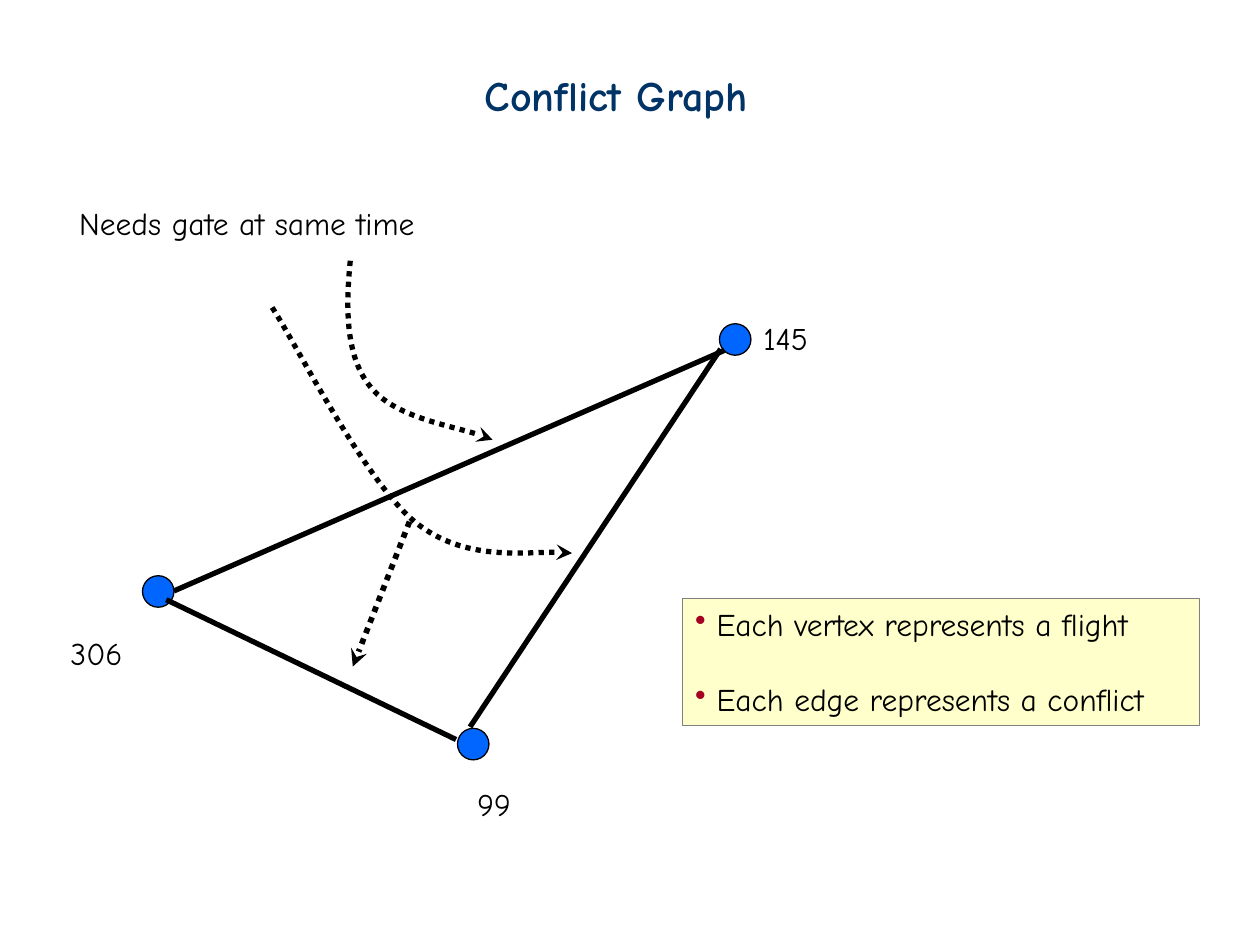
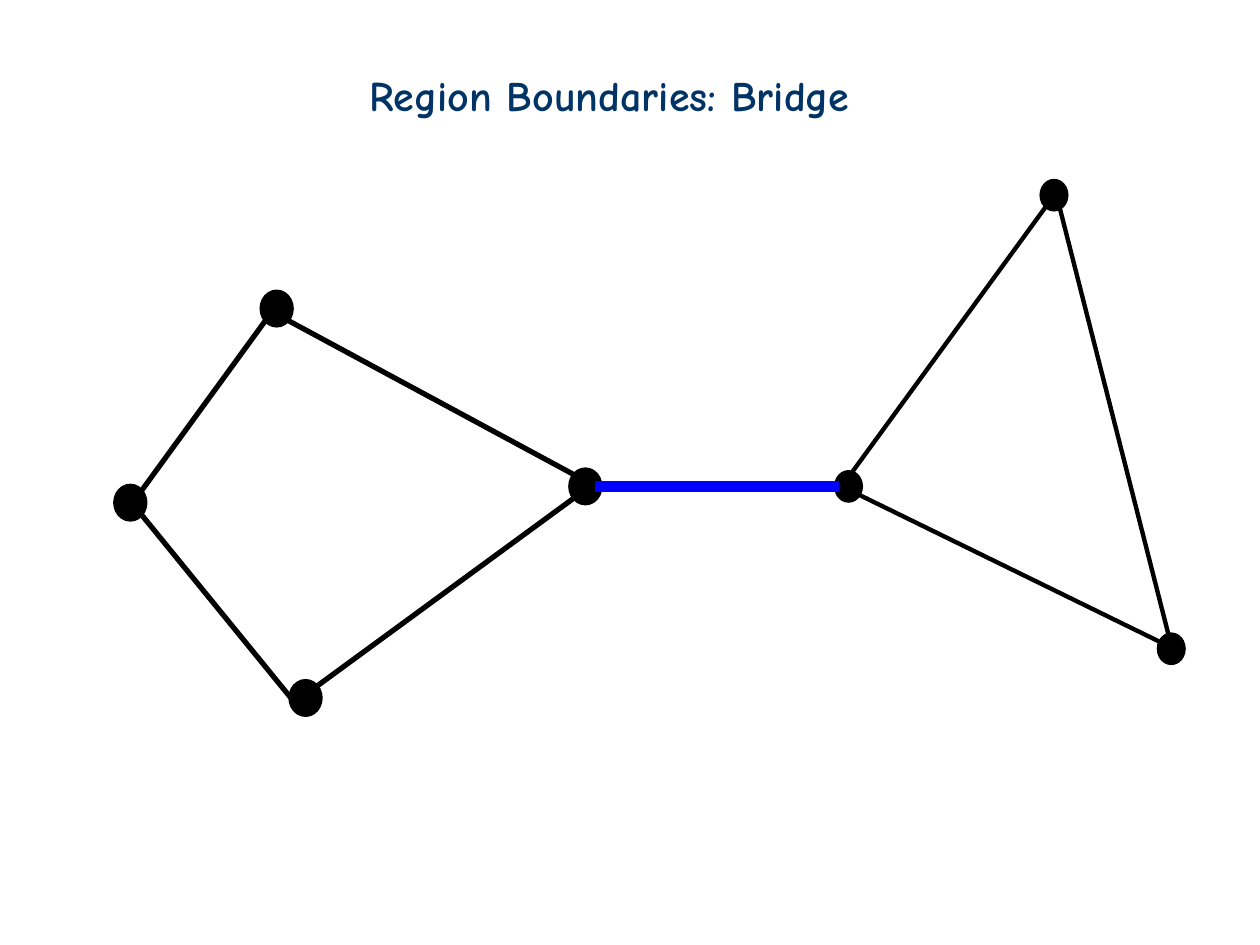
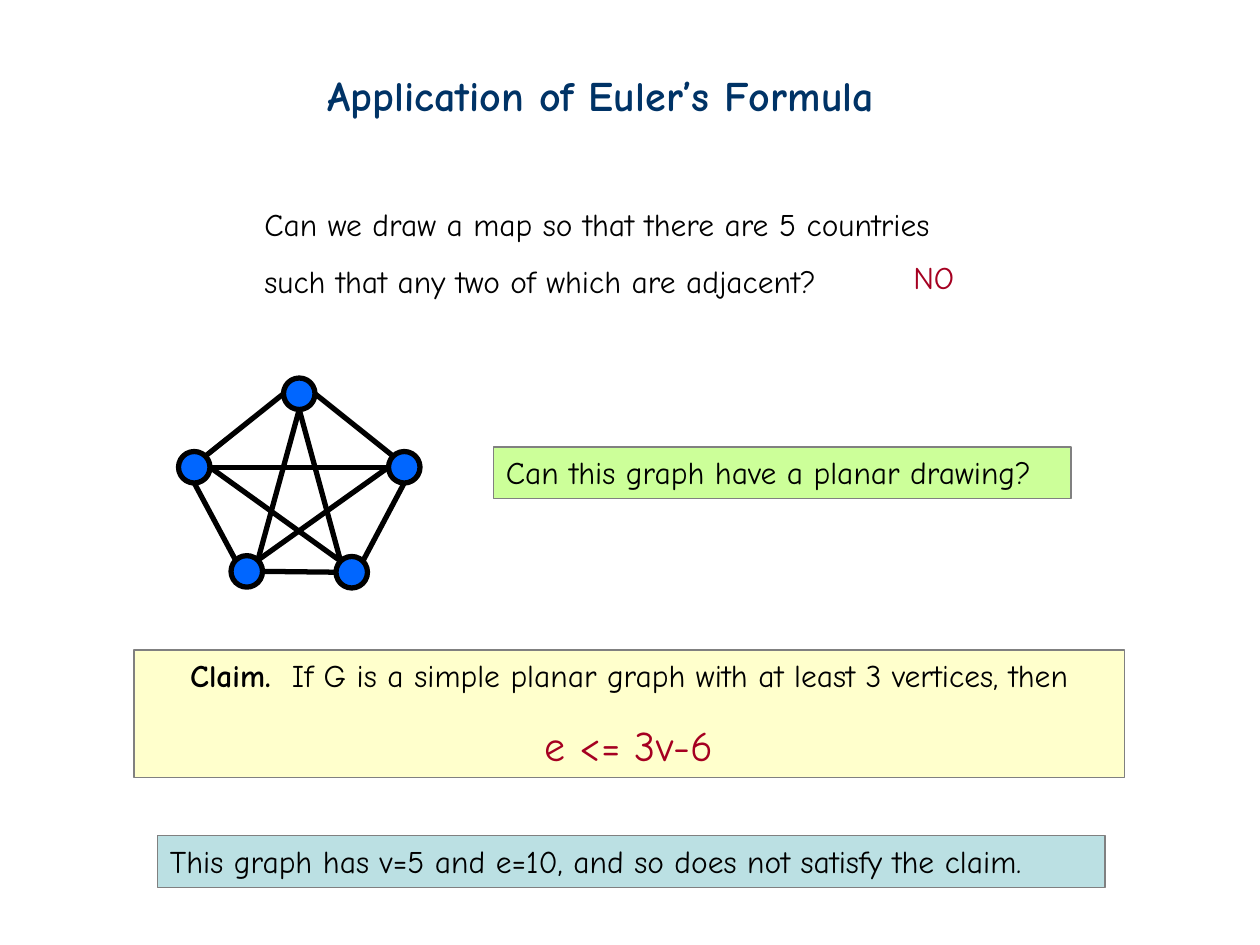
import math
from dataclasses import dataclass
from typing import Any, NamedTuple

from lxml import etree
from pptx import Presentation
from pptx.dml.color import RGBColor
from pptx.enum.dml import MSO_LINE
from pptx.enum.shapes import MSO_CONNECTOR, MSO_SHAPE
from pptx.enum.text import MSO_ANCHOR, PP_ALIGN
from pptx.oxml.ns import qn
from pptx.util import Pt

ELLIPSE = MSO_SHAPE.OVAL
RECTANGLE = MSO_SHAPE.RECTANGLE
STRAIGHT = MSO_CONNECTOR.STRAIGHT
DOTTED = MSO_LINE.ROUND_DOT
TOP = MSO_ANCHOR.TOP
LEFT = PP_ALIGN.LEFT
CENTER = PP_ALIGN.CENTER

FONT = "Comic Neue"
BLACK = "000000"
NAVY = "003366"
VERTEX_BLUE = "0066FF"
BRIDGE_BLUE = "0000FF"
CRIMSON = "A50021"
GREY = "808080"
CREAM = "FFFFCC"
LIME = "CCFF99"
PALE_TEAL = "BBE0E3"


class Point(NamedTuple):
    x: float
    y: float


class Span(NamedTuple):
    text: str
    size: float = 18
    color: str = BLACK
    bold: bool = False


@dataclass(frozen=True)
class Stroke:
    width: float = 3
    color: str = BLACK
    dotted: bool = False
    arrow: bool = False


EDGE = Stroke()
THIN = Stroke(0.75)
FRAME = Stroke(0.75, GREY)
POINTER = Stroke(dotted=True, arrow=True)


@dataclass(frozen=True)
class Vertex:
    left: float
    top: float
    width: float = 18
    height: float = 18
    fill: str = VERTEX_BLUE
    stroke: Stroke | None = EDGE

    def site(self, angle: float) -> Point:
        """Return the rim point at an angle, clockwise from the right."""
        turn = math.radians(angle)
        return Point(self.left + self.width / 2 * (1 + math.cos(turn)),
                     self.top + self.height / 2 * (1 + math.sin(turn)))


@dataclass(frozen=True)
class Para:
    spans: tuple[Span, ...]
    align: Any = LEFT
    line_spacing: float = 1.0
    space_before: float = 0
    bullet: bool = False


@dataclass(frozen=True)
class TextBlock:
    left: float
    top: float
    width: float
    height: float
    paras: tuple[Para, ...]
    fill: str | None = None


def rgb(color: str) -> RGBColor:
    return RGBColor.from_string(color)


def set_format(target: Any, values: dict[str, Any]) -> None:
    for name, value in values.items():
        setattr(target, name, value)


def plain(text: str) -> Para:
    return Para((Span(text),))


def paint_fill(shape: Any, color: str | None) -> None:
    if color is None:
        shape.fill.background()
    else:
        shape.fill.solid()
        shape.fill.fore_color.rgb = rgb(color)


def paint_line(line: Any, stroke: Stroke | None) -> None:
    if stroke is None:
        line.fill.background()
        return
    line.color.rgb = rgb(stroke.color)
    line.width = Pt(stroke.width)
    if stroke.dotted:
        line.dash_style = DOTTED
    if stroke.arrow:
        etree.SubElement(line._get_or_add_ln(), qn("a:tailEnd"), type="stealth")


def add_bullet(para: Any) -> None:
    properties = para._p.get_or_add_pPr()
    properties.set("marL", str(Pt(12.2)))
    properties.set("indent", str(-Pt(12.2)))
    color = etree.SubElement(properties, qn("a:buClr"))
    etree.SubElement(color, qn("a:srgbClr"), val=CRIMSON)
    etree.SubElement(properties, qn("a:buChar"), char="•")


def draw_text(page: Any, block: TextBlock) -> None:
    place = [Pt(n) for n in (block.left, block.top, block.width, block.height)]
    if block.fill is None:
        box = page.shapes.add_textbox(*place)
    else:
        box = page.shapes.add_shape(RECTANGLE, *place)
        box.shadow.inherit = False
        paint_fill(box, block.fill)
        paint_line(box.line, FRAME)
    frame = box.text_frame
    set_format(frame, {"word_wrap": True, "vertical_anchor": TOP})
    for index, item in enumerate(block.paras):
        para = frame.add_paragraph() if index else frame.paragraphs[0]
        set_format(para, {"alignment": item.align,
                          "line_spacing": item.line_spacing,
                          "space_before": Pt(item.space_before)})
        if item.bullet:
            add_bullet(para)
        for span in item.spans:
            run = para.add_run()
            run.text = span.text
            set_format(run.font, {"name": FONT, "size": Pt(span.size),
                                  "bold": span.bold})
            run.font.color.rgb = rgb(span.color)


def draw_title(page: Any, text: str, left: float, width: float) -> None:
    title = Para((Span(text, 24, NAVY, True),))
    draw_text(page, TextBlock(left, 36, width, 36, (title,)))


def draw_vertex(page: Any, vertex: Vertex) -> None:
    shape = page.shapes.add_shape(ELLIPSE, Pt(vertex.left), Pt(vertex.top),
                                  Pt(vertex.width), Pt(vertex.height))
    shape.shadow.inherit = False
    paint_fill(shape, vertex.fill)
    paint_line(shape.line, vertex.stroke)


def draw_edge(page: Any, start: Point, end: Point, stroke: Stroke = EDGE) -> None:
    edge = page.shapes.add_connector(STRAIGHT, *map(Pt, (*start, *end)))
    paint_line(edge.line, stroke)
    etree.SubElement(edge._element.spPr, qn("a:effectLst"))


def draw_outline(page: Any, points: list[Point], stroke: Stroke,
                 close: bool = False) -> Any:
    start, *rest = [(Pt(x), Pt(y)) for x, y in points]
    builder = page.shapes.build_freeform(*start)
    builder.add_line_segments(rest, close=close)
    shape = builder.convert_to_shape()
    shape.shadow.inherit = False
    paint_fill(shape, None)
    paint_line(shape.line, stroke)
    return shape


def draw_curve(page: Any, points: list[Point], stroke: Stroke) -> None:
    """Draw Bezier curves: a start, then two controls and an end for each."""
    shape = draw_outline(page, points, stroke)
    segments = list(shape._element.iter(qn("a:lnTo")))
    for first in range(0, len(segments), 3):
        group = segments[first:first + 3]
        curve = etree.Element(qn("a:cubicBezTo"))
        group[0].addprevious(curve)
        for segment in group:
            curve.append(segment[0])
            segment.getparent().remove(segment)


def build_conflict_graph(page: Any) -> None:
    draw_title(page, "Conflict Graph", 270, 182)
    for left, top in ((81.4, 329), (411.1, 185), (261.4, 416.2)):
        draw_vertex(page, Vertex(left, top, stroke=THIN))
    for text, left, top, width in (("99", 265.7, 445, 37),
                                   ("145", 429.1, 178.6, 45),
                                   ("306", 33.1, 358.6, 48),
                                   ("Needs gate at same time", 38.2, 113, 224)):
        draw_text(page, TextBlock(left, top, width, 29, (plain(text),)))
    for start, end in ((Point(99.4, 337.7), Point(414, 200.2)),
                       (Point(268.6, 415.4), Point(411.8, 199.4)),
                       (Point(95, 342.7), Point(260.6, 422.6))):
        draw_edge(page, start, end)
    draw_curve(page, [Point(200.2, 149), Point(197.3, 177.8), Point(198, 204.5),
                      Point(211.7, 221), Point(225.4, 238.3),
                      Point(267.1, 244.8), Point(281.5, 251.3)], POINTER)
    draw_curve(page, [Point(155.5, 175.7), Point(169.2, 196.6),
                      Point(208.1, 274.3), Point(236.9, 298.1),
                      Point(265, 321.1), Point(311.8, 313.9),
                      Point(326.9, 316.1)], POINTER)
    draw_edge(page, Point(234, 298.1), Point(201.6, 380.9),
              Stroke(3.25, dotted=True, arrow=True))
    notes = (Para((Span("Each vertex represents a flight"),), bullet=True),
             Para((Span("Each edge represents a conflict"),),
                  space_before=21.4, bullet=True))
    draw_text(page, TextBlock(390.2, 342, 295.2, 72.7, notes, CREAM))


def build_bridge(page: Any) -> None:
    draw_outline(page, [Point(481, 277.9), Point(603.4, 110.2),
                        Point(669.6, 370.1)], Stroke(2.5), close=True)
    triangle = ((661, 361.4), (594, 102.2), (476.6, 268.6))
    quadrilateral = ((149.8, 167), (326.2, 268.6), (66.2, 277.9), (166.3, 389.5))
    for corners, stroke in ((triangle, None), (quadrilateral, EDGE)):
        for left, top in corners:
            draw_vertex(page, Vertex(left, top, 16.6, 18.7, BLACK, stroke))
    draw_edge(page, Point(339.8, 277.9), Point(479.5, 277.9),
              Stroke(6, BRIDGE_BLUE))
    for start, end in ((Point(180.7, 392.4), Point(328.3, 284.4)),
                       (Point(80.6, 280.8), Point(151.9, 182.9)),
                       (Point(80.6, 293.8), Point(166.3, 398.9)),
                       (Point(164.2, 182.9), Point(328.3, 271.4))):
        draw_edge(page, start, end)
    draw_title(page, "Region Boundaries: Bridge", 203.8, 316)


def build_euler(page: Any) -> None:
    draw_title(page, "Application of Euler’s Formula", 180, 362)
    south_west = Vertex(132, 317.5)
    west = Vertex(102, 258)
    east = Vertex(222, 258)
    north = Vertex(162, 216)
    south_east = Vertex(192, 318)
    for vertex in (south_west, west, east, north, south_east):
        draw_vertex(page, vertex)
    for start, start_angle, end, end_angle in (
            (south_west, 0, south_east, 180), (north, 0, east, 225),
            (east, 90, south_east, 315), (north, 180, west, 315),
            (west, 90, south_west, 225), (north, 90, south_east, 225),
            (north, 90, south_west, 315), (west, 0, east, 180),
            (south_east, 225, west, 0), (south_west, 315, east, 180)):
        draw_edge(page, start.site(start_angle), end.site(end_angle))
    question = (plain("Can we draw a map so that there are 5 countries"),
                Para((Span("such that any two of which are adjacent?"),),
                     line_spacing=1.5))
    claim = (Para((Span("Claim.", bold=True),
                   Span("  If G is a simple planar graph with at least "
                        "3 vertices, then")), CENTER),
             Para((Span("e <= 3v-6", 24, CRIMSON),), CENTER, 1.5))
    answer = (Para((Span("NO", color=CRIMSON),)),)
    planar = (plain("Can this graph have a planar drawing?"),)
    verdict = (plain("This graph has v=5 and e=10, and so does not "
                     "satisfy the claim."),)
    for block in (TextBlock(144, 113.8, 427.7, 61.2, question),
                  TextBlock(514.8, 144, 43.2, 28.8, answer),
                  TextBlock(282, 255.5, 330, 29.5, planar, LIME),
                  TextBlock(76.5, 371.5, 566, 72.7, claim, CREAM),
                  TextBlock(90, 477.5, 541.5, 29.5, verdict, PALE_TEAL)):
        draw_text(page, block)


def main() -> None:
    deck = Presentation()
    set_format(deck, {"slide_width": Pt(720), "slide_height": Pt(540)})
    for build in (build_conflict_graph, build_bridge, build_euler):
        build(deck.slides.add_slide(deck.slide_layouts[6]))
    deck.save("out.pptx")


if __name__ == "__main__":
    main()
